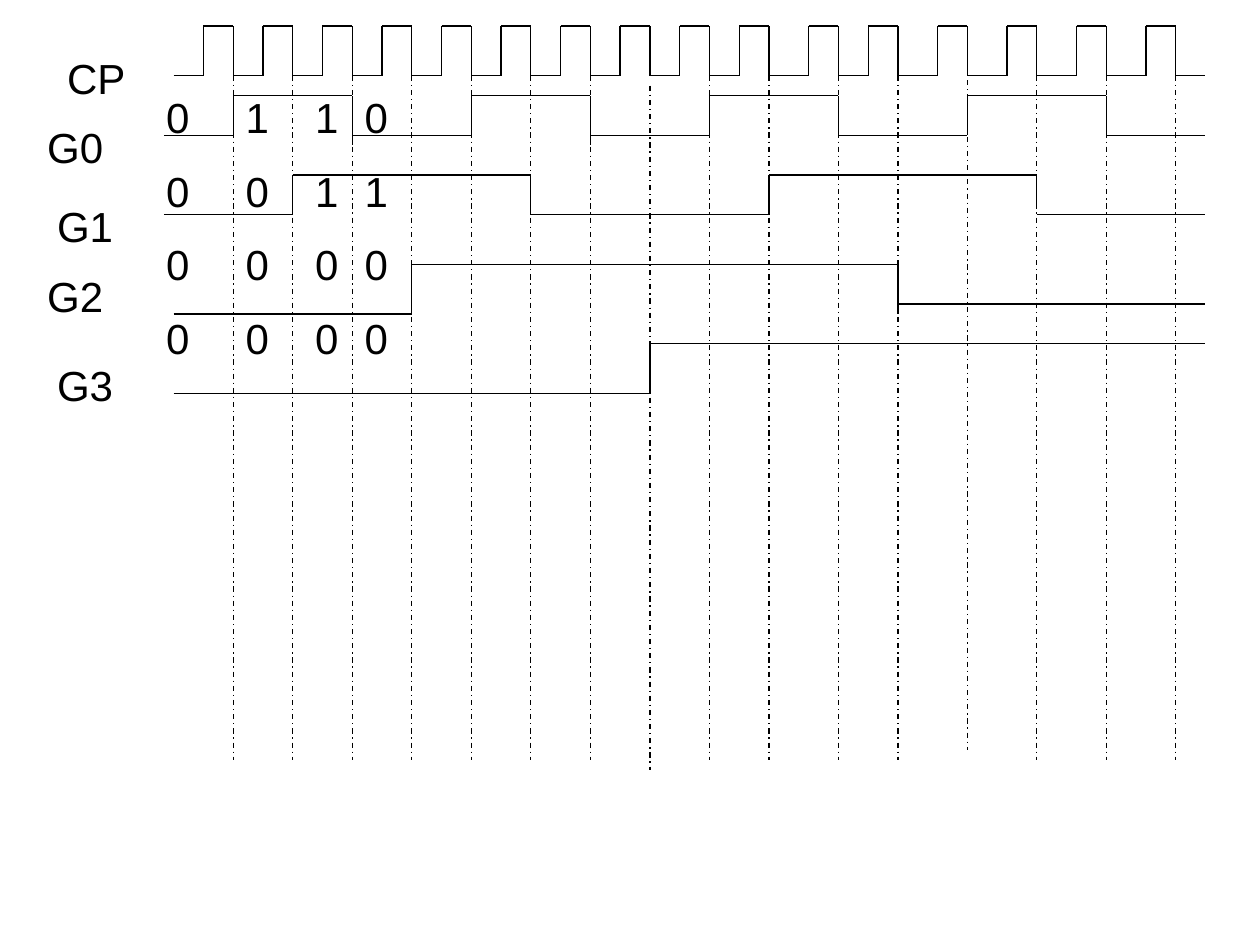
from dataclasses import dataclass, field
from itertools import pairwise

from lxml import etree
from pptx import Presentation, util as u
from pptx.dml.color import RGBColor
from pptx.enum import dml, shapes, text
from pptx.oxml.ns import qn

HUES = {"ink": "000000"}
INK = RGBColor.from_string(HUES["ink"])
WIDE, HIGH = 10, 7.5
CELL = WIDE / 127  # side of one grid cell
LEFT, TOP = 0.04, 0.05  # grid origin
END = 121  # column where every signal stops
FONT = {"name": "Arial", "size": u.Pt(24)}
FRAME = {"word_wrap": True, "auto_size": text.MSO_AUTO_SIZE.SHAPE_TO_FIT_TEXT}

# Columns of the falling clock edges
FALLS = [*range(23, 78, 6), 84, 90, 97, 104, 111, 118]


@dataclass
class Wave:
    start: int
    high: int
    low: int
    rest: int  # low row after the first rise
    feet: dict[int, int] = field(default_factory=dict)  # edge column: its bottom row


@dataclass
class Label:
    col: int
    row: int
    wide: float
    high: float
    words: list[str]


WAVES = [
    Wave(16, 9, 13, 13, {35: 14, 59: 14}),
    Wave(16, 17, 21, 21, {104: 20}),
    Wave(17, 26, 31, 30, {90: 31}),
    Wave(17, 34, 39, 39),
]
LABELS = [
    Label(5, 4, 11, 6.3, ["CP"]),
    Label(3, 11, 11, 6.3, ["G0"]),
    Label(4, 19, 9, 6.3, ["G1"]),
    Label(3, 26, 9, 6.3, ["G2"]),
    Label(4, 35, 11, 6.3, ["G3"]),
    Label(15, 8, 4, 29.2, list("0000")),
    Label(23, 8, 4, 29.2, list("1000")),
    Label(30, 8, 4, 29.2, list("1100")),
    Label(35, 8, 5, 29.2, list("0100")),
]


def across(col: float) -> u.Length:
    return u.Inches(LEFT + col * CELL)


def down(row: float) -> u.Length:
    return u.Inches(TOP + row * CELL)


def line(tree, col: int, row: int, to_col: int, to_row: int, dash=None) -> None:
    part = tree.add_connector(shapes.MSO_CONNECTOR.STRAIGHT, across(col), down(row),
                              across(to_col), down(to_row))
    part.line.color.rgb = INK
    for key, val in {"width": u.Pt(0.75), "dash_style": dash}.items():
        setattr(part.line, key, val)
    etree.SubElement(part._element.spPr, qn("a:effectLst"))


def clock(tree, high: int = 2, low: int = 7, pulse: int = 3) -> None:
    last = 17
    for fall in FALLS:
        rise = fall - pulse
        line(tree, last, low, rise, low)
        line(tree, rise, high, rise, low)
        line(tree, rise, high, fall, high)
        line(tree, fall, high, fall, low)
        last = fall
    line(tree, last, low, END, low)


def signal(tree, wave: Wave, edges: list[int]) -> None:
    for i, (a, b) in enumerate(pairwise([wave.start, *edges, END])):
        row = wave.high if i % 2 else wave.rest if i else wave.low
        line(tree, a, row, b, row)
    for edge in edges:
        line(tree, edge, wave.high, edge, wave.feet.get(edge, wave.low))


def write(tree, label: Label) -> None:
    box = tree.add_textbox(across(label.col), down(label.row),
                           u.Inches(label.wide * CELL), u.Inches(label.high * CELL))
    frame = box.text_frame
    for key, val in FRAME.items():
        setattr(frame, key, val)
    for i, word in enumerate(label.words):
        para = frame.paragraphs[0] if i == 0 else frame.add_paragraph()
        if i:
            para.space_before = u.Pt(13.2)
        run = para.add_run()
        run.text = word
        for key, val in FONT.items():
            setattr(run.font, key, val)
        run.font.color.rgb = INK


def main() -> None:
    deck = Presentation()
    deck.slide_width, deck.slide_height = u.Inches(WIDE), u.Inches(HIGH)
    tree = deck.slides.add_slide(deck.slide_layouts[6]).shapes

    # Clock pulses
    clock(tree.add_group_shape().shapes)

    # Dash-dot guides below each falling edge
    shift = {7: 1, 12: -1}
    for i, col in enumerate(FALLS):
        row = 7 + shift.get(i, 0)
        line(tree, col, row, col, row + 69, dml.MSO_LINE.DASH_DOT)

    # Gray code: bit k toggles every 2^(k+1) pulses
    for k, wave in enumerate(WAVES):
        signal(tree, wave, FALLS[2**k - 1::2**(k + 1)])

    # Names and first code words
    for label in LABELS:
        write(tree, label)

    deck.save("out.pptx")


if __name__ == "__main__":
    main()
